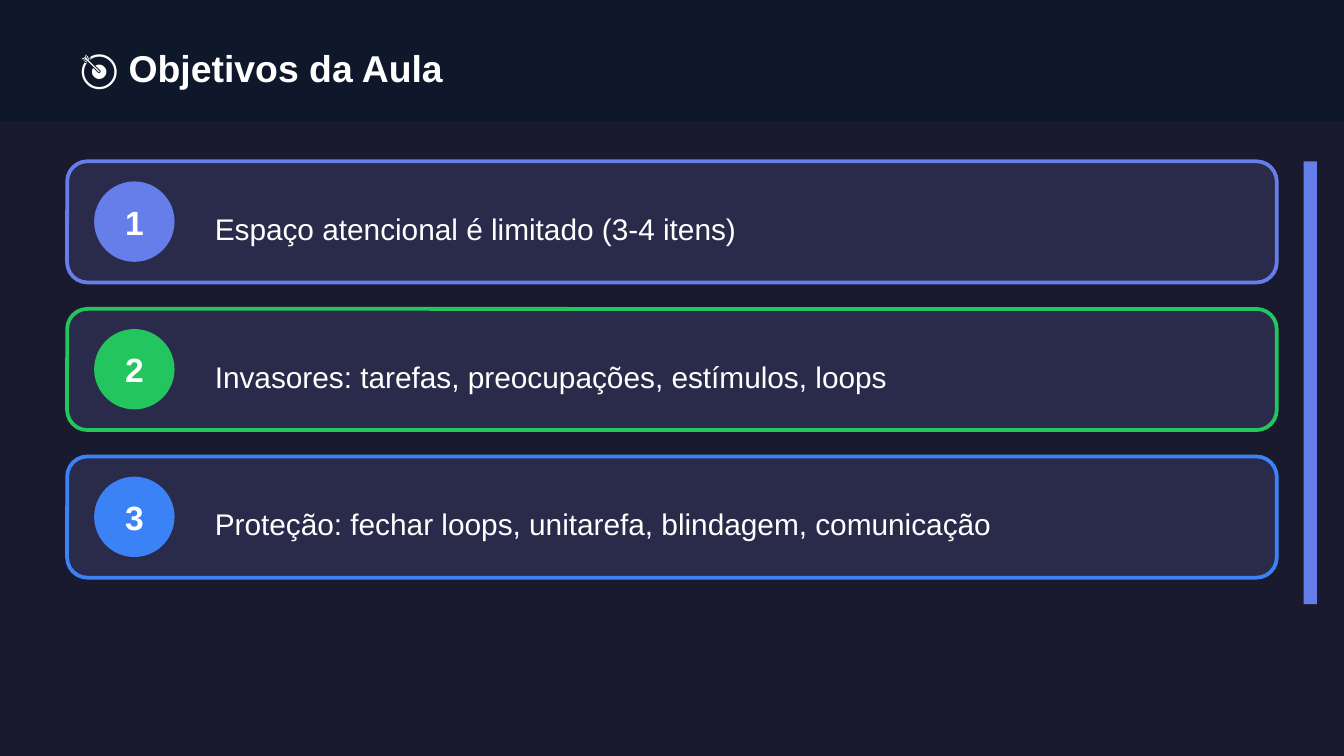
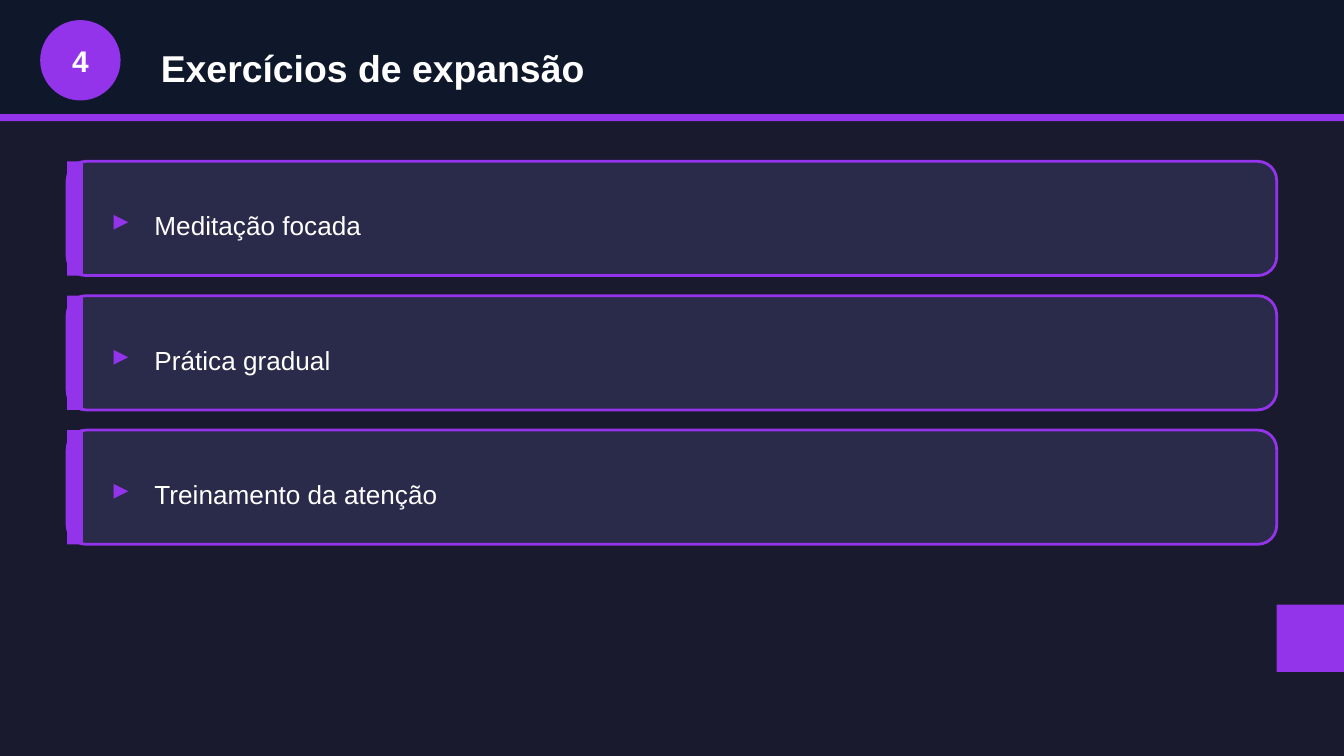
"""Build two lesson slides: the objectives and the expansion exercises."""
import dataclasses

import pptx
import pptx.dml.color
import pptx.enum.shapes
import pptx.enum.text
import pptx.util

OBJECTIVES_TITLE = "🎯 Objetivos da Aula"
OBJECTIVES = [
    ("Espaço atencional é limitado (3-4 itens)", "667EEA"),
    ("Invasores: tarefas, preocupações, estímulos, loops", "22C55E"),
    ("Proteção: fechar loops, unitarefa, blindagem, comunicação", "3B82F6"),
]
SECTION_NUMBER = "4"
SECTION_TITLE = "Exercícios de expansão"
EXERCISES = ["Meditação focada", "Prática gradual", "Treinamento da atenção"]
MARKER = "▸"


@dataclasses.dataclass(frozen=True)
class Theme:
    font: str = "Arial"
    background: str = "1A1A2E"
    header: str = "0F172A"
    card: str = "2A2A4A"
    text: str = "FFFFFF"
    indigo: str = "667EEA"
    purple: str = "9333EA"
    title_size: int = 20
    number_size: int = 18
    objective_size: int = 16
    marker_size: int = 16
    exercise_size: int = 14


THEME = Theme()
SHAPES = pptx.enum.shapes.MSO_SHAPE
ALIGN = pptx.enum.text.PP_ALIGN
SLIDE_WIDTH, SLIDE_HEIGHT = 25.4, 14.29
HEADER_HEIGHT = 2.29
CARD_LEFT, CARD_TOP, CARD_WIDTH = 1.27, 3.05, 22.86
BADGE_SIZE = 1.52


def color(value):
    return pptx.dml.color.RGBColor.from_string(value)


def lengths(*values):
    return [pptx.util.Cm(value) for value in values]


def add_shape(slide, kind, box, fill, line=None, line_width=0):
    shape = slide.shapes.add_shape(kind, *lengths(*box))
    shape.shadow.inherit = False
    shape.fill.solid()
    shape.fill.fore_color.rgb = color(fill)
    if line:
        shape.line.color.rgb = color(line)
        shape.line.width = pptx.util.Pt(line_width)
    else:
        shape.line.fill.background()


def add_text(slide, text, box, size, bold=False, fill=THEME.text, align=ALIGN.LEFT):
    frame = slide.shapes.add_textbox(*lengths(*box)).text_frame
    frame.word_wrap = True
    frame.vertical_anchor = pptx.enum.text.MSO_ANCHOR.MIDDLE
    paragraph = frame.paragraphs[0]
    paragraph.alignment = align
    run = paragraph.add_run()
    run.text = text
    formats = {"name": THEME.font, "size": pptx.util.Pt(size), "bold": bold}
    for name, value in formats.items():
        setattr(run.font, name, value)
    run.font.color.rgb = color(fill)


def add_badge(slide, number, left, top, fill, size):
    add_shape(slide, SHAPES.OVAL, (left, top, BADGE_SIZE, BADGE_SIZE), fill)
    add_text(slide, number, (left, top + 0.25, BADGE_SIZE, 1.02), size,
             bold=True, align=ALIGN.CENTER)


def add_card(slide, top, height, line, line_width):
    add_shape(slide, SHAPES.ROUNDED_RECTANGLE,
              (CARD_LEFT, top, CARD_WIDTH, height), THEME.card, line, line_width)


def add_slide(presentation, title, title_left, title_width):
    slide = presentation.slides.add_slide(presentation.slide_layouts[6])
    slide.background.fill.solid()
    slide.background.fill.fore_color.rgb = color(THEME.background)
    add_shape(slide, SHAPES.RECTANGLE, (0, 0, SLIDE_WIDTH, HEADER_HEIGHT), THEME.header)
    add_text(slide, title, (title_left, 0.64, title_width, 1.27), THEME.title_size, bold=True)
    return slide


def add_objectives(presentation):
    slide = add_slide(presentation, OBJECTIVES_TITLE, CARD_LEFT, CARD_WIDTH)
    height, gap = 2.29, 0.5
    step = height + gap
    for index, (text, accent) in enumerate(OBJECTIVES):
        top = CARD_TOP + index * step
        add_card(slide, top, height, accent, 2)
        add_badge(slide, str(index + 1), 1.78, top + 0.38, accent, THEME.number_size)
        add_text(slide, text, (3.81, top + 0.64, 19.81, 1.27), THEME.objective_size)
    side_bar = (24.64, CARD_TOP, 0.25, len(OBJECTIVES) * step)
    add_shape(slide, SHAPES.RECTANGLE, side_bar, THEME.indigo)


def add_exercises(presentation):
    slide = add_slide(presentation, SECTION_TITLE, 2.79, 21.59)
    rule = 0.13
    add_shape(slide, SHAPES.RECTANGLE,
              (0, HEADER_HEIGHT - rule, SLIDE_WIDTH, rule), THEME.purple)
    add_badge(slide, SECTION_NUMBER, 0.76, 0.38, THEME.purple, THEME.objective_size)
    height, gap = 2.16, 0.38
    for index, text in enumerate(EXERCISES):
        top = CARD_TOP + index * (height + gap)
        add_card(slide, top, height, THEME.purple, 1.5)
        add_shape(slide, SHAPES.RECTANGLE, (CARD_LEFT, top, 0.3, height), THEME.purple)
        add_text(slide, MARKER, (1.9, top + 0.64, 0.76, 0.89), THEME.marker_size,
                 bold=True, fill=THEME.purple)
        add_text(slide, text, (2.67, top + 0.64, 20.83, 1.14), THEME.exercise_size)
    corner = 1.27
    add_shape(slide, SHAPES.RECTANGLE,
              (SLIDE_WIDTH - corner, 11.43, corner, corner), THEME.purple)


def main():
    presentation = pptx.Presentation()
    presentation.slide_width, presentation.slide_height = lengths(SLIDE_WIDTH, SLIDE_HEIGHT)
    add_objectives(presentation)
    add_exercises(presentation)
    presentation.save("out.pptx")


if __name__ == "__main__":
    main()
